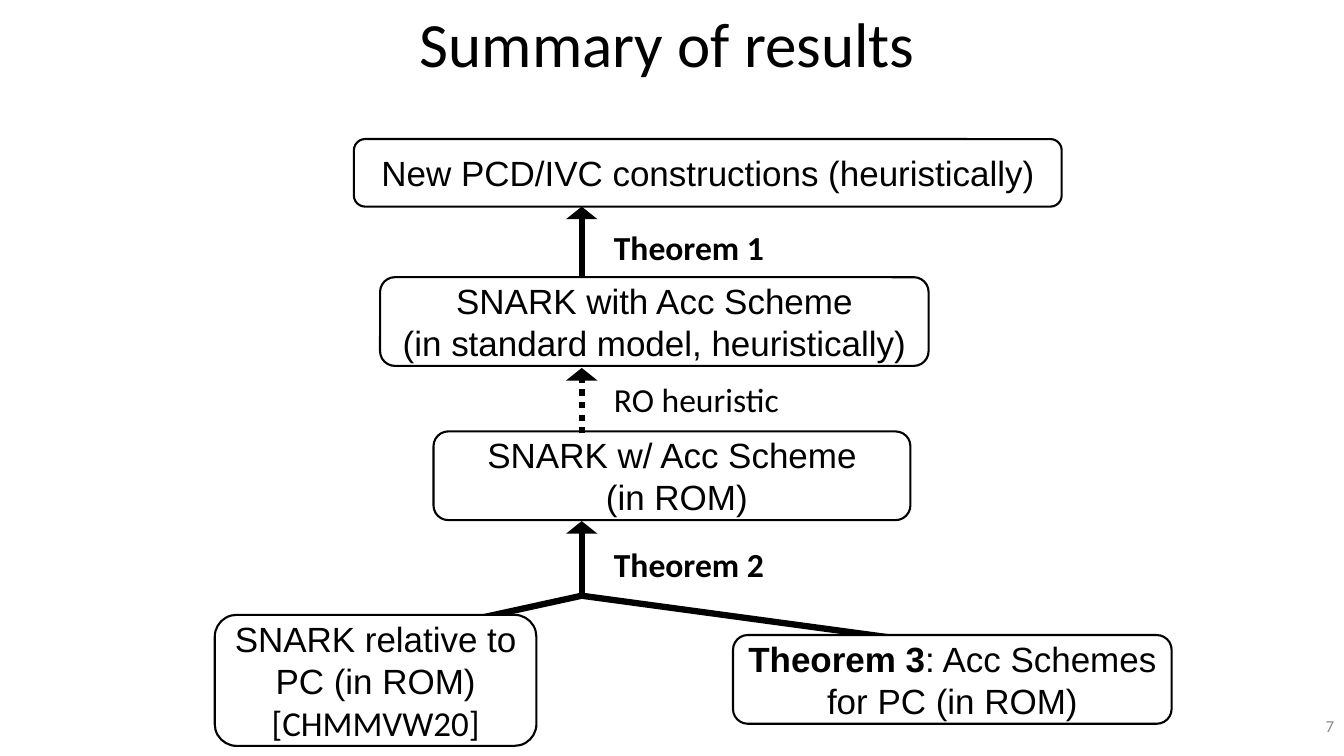
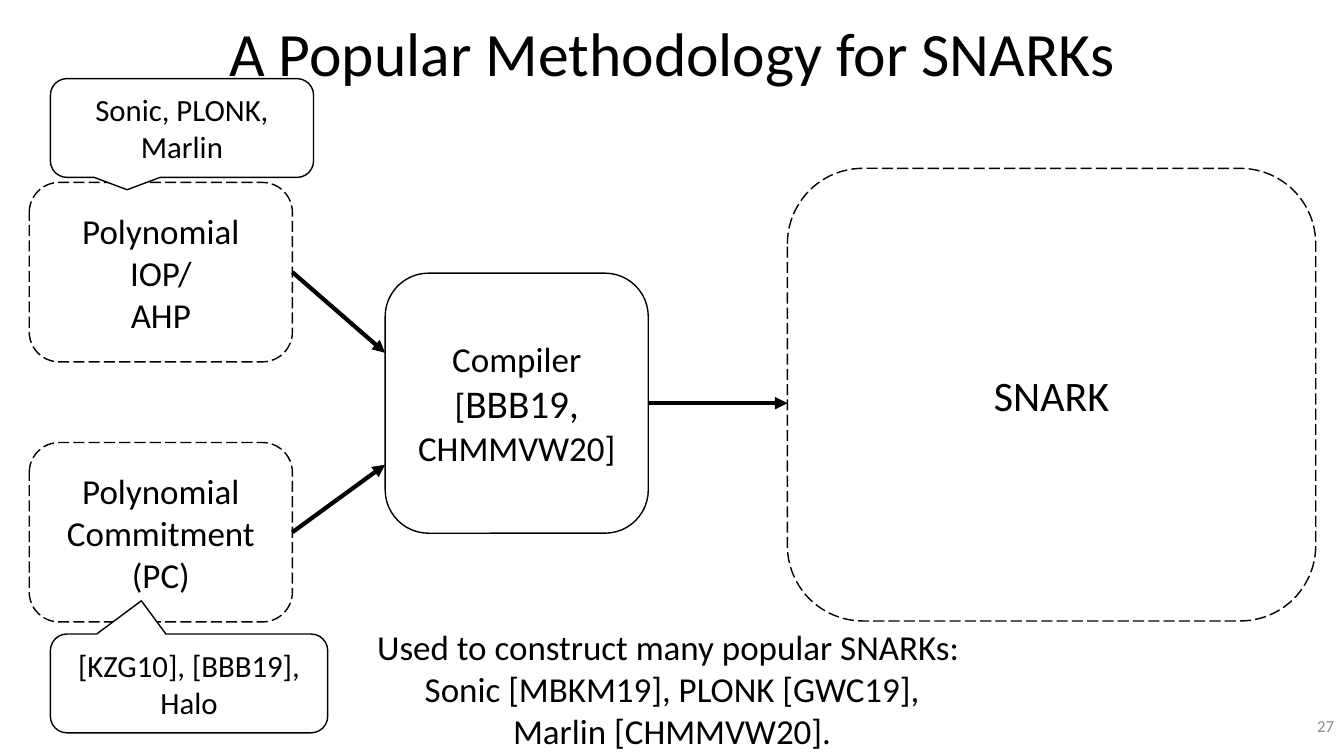
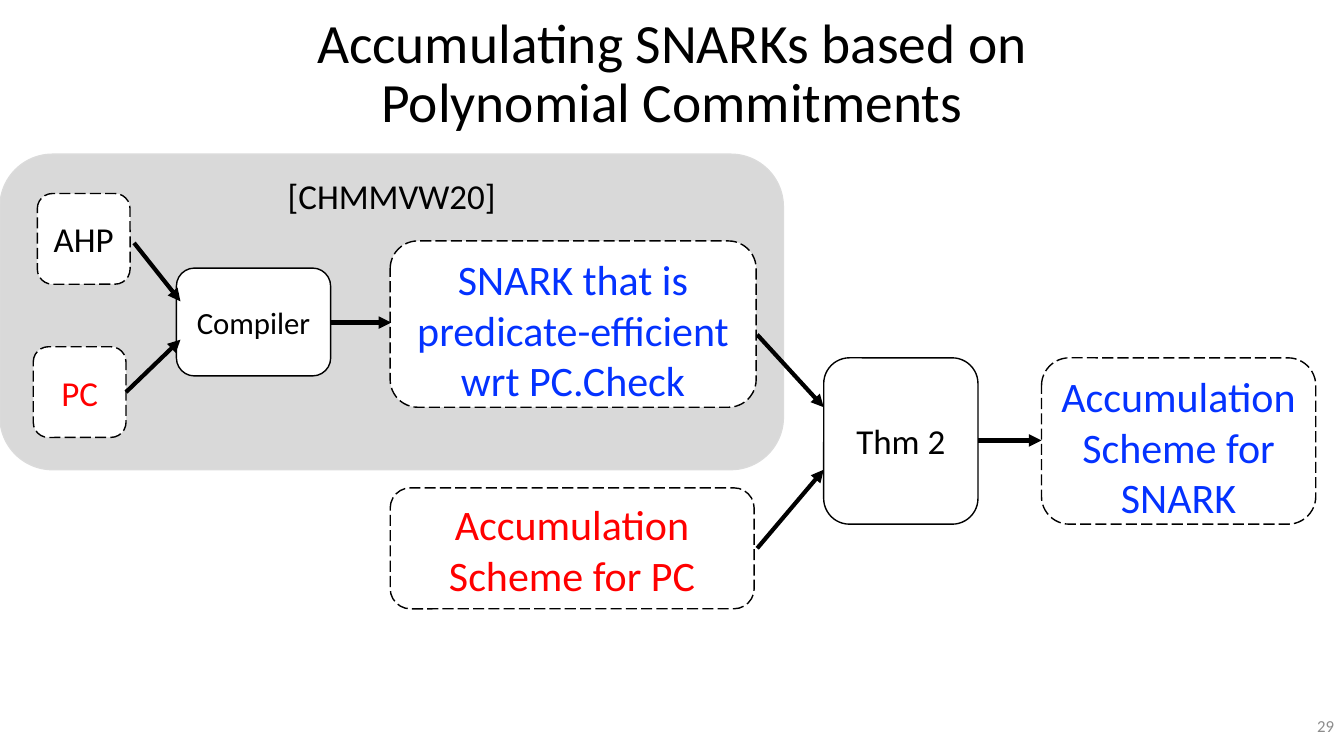
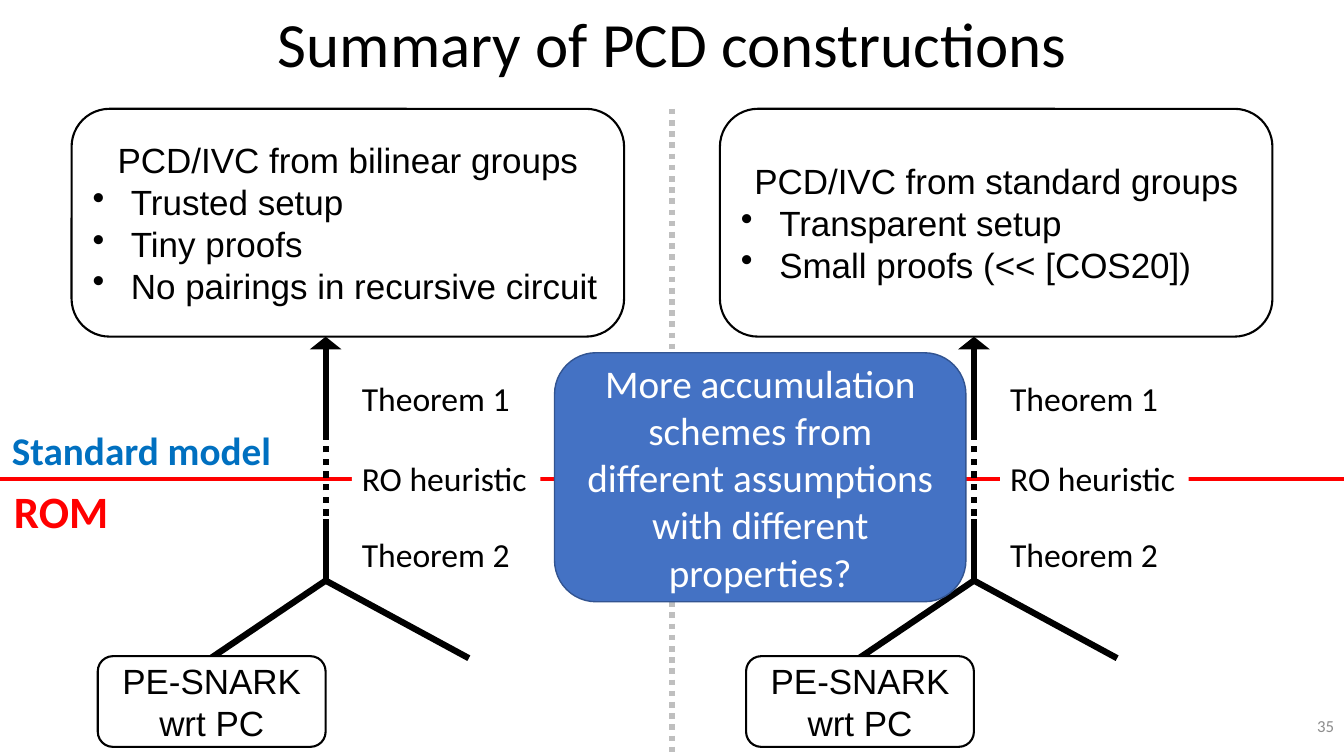
from lxml.etree import SubElement
from pptx import Presentation
from pptx.dml.color import RGBColor
from pptx.enum.dml import MSO_LINE as Dash
from pptx.enum.shapes import MSO_CONNECTOR as Connector, MSO_SHAPE as Shape
from pptx.enum.text import MSO_ANCHOR as Anchor, PP_ALIGN as Align
from pptx.oxml.ns import qn
from pptx.util import Inches, Pt

BLACK, WHITE, RED, BLUE = "000000", "FFFFFF", "FF0000", "0432FF"
PANEL, PANEL_EDGE, DIVIDER, NUMBER = "D9D9D9", "DBDBDB", "BFBFBF", "8C8C8C"
CALLOUT, CALLOUT_EDGE, STANDARD = "4472C4", "325491", "0070C0"
BODY, DIAGRAM = "Calibri", "Arial"
SLIDE_W, SLIDE_H = 13.33, 7.5


def rgb(value):
    """Turn a hex string into a colour."""
    return RGBColor.from_string(value)


def write(frame, paragraphs, size, color=BLACK, font=BODY, bold=False,
          align=Align.CENTER, anchor=Anchor.MIDDLE, spacing=None):
    """Fill a text frame; a paragraph is a string or (text, font overrides) runs."""
    frame.word_wrap = True
    frame.vertical_anchor = anchor
    for index, content in enumerate(paragraphs):
        paragraph = frame.add_paragraph() if index else frame.paragraphs[0]
        paragraph.alignment = align
        if spacing:
            paragraph.line_spacing = spacing
        style = paragraph.font
        style.size, style.name, style.bold = Pt(size), font, bold
        style.color.rgb = rgb(color)
        runs = [(content, {})] if isinstance(content, str) else content
        for text, overrides in runs:
            run = paragraph.add_run()
            run.text = text
            for key, value in overrides.items():
                setattr(run.font, key, value)


def bullet(paragraph):
    """Give a paragraph a hanging round bullet."""
    paragraph.alignment = Align.LEFT
    properties = paragraph.font and paragraph._p.get_or_add_pPr()
    properties.set("marL", str(Inches(0.38)))
    properties.set("indent", str(-Inches(0.38)))
    mark = SubElement(properties, qn("a:buChar"))
    mark.set("char", "•")
    properties.find(qn("a:defRPr")).addprevious(mark)


def box(slide, at, paragraphs, size, fill=WHITE, edge=BLACK, weight=1,
        dashed=False, kind=Shape.ROUNDED_RECTANGLE, **style):
    """Draw an outlined shape with text."""
    shape = slide.shapes.add_shape(kind, *map(Inches, at))
    shape.shadow.inherit = False
    shape.fill.solid()
    shape.fill.fore_color.rgb = rgb(fill)
    shape.line.color.rgb = rgb(edge)
    shape.line.width = Pt(weight)
    if dashed:
        shape.line.dash_style = Dash.LONG_DASH
    write(shape.text_frame, paragraphs, size, **style)
    return shape


def result_box(slide, at, paragraphs):
    """Draw a box of a theorem diagram."""
    return box(slide, at, paragraphs, 25, weight=1.5, font=DIAGRAM)


def label(slide, at, text, size=24, fill=None, align=Align.LEFT,
          anchor=Anchor.TOP, **style):
    """Place a text box."""
    area = slide.shapes.add_textbox(*map(Inches, at))
    if fill:
        area.fill.solid()
        area.fill.fore_color.rgb = rgb(fill)
    lines = [text] if isinstance(text, str) else text
    write(area.text_frame, lines, size, align=align, anchor=anchor, **style)


def line(slide, start, end, weight=4.5, color=BLACK, dotted=False, head=None):
    """Draw a line; head is the (width, length) of an arrowhead at its end."""
    connector = slide.shapes.add_connector(
        Connector.STRAIGHT, *map(Inches, (*start, *end)))
    connector.line.color.rgb = rgb(color)
    connector.line.width = Pt(weight)
    if dotted:
        connector.line.dash_style = Dash.ROUND_DOT
    properties = connector._element.spPr
    if head:
        tip = SubElement(properties.find(qn("a:ln")), qn("a:tailEnd"))
        for key, value in zip(("type", "w", "len"), ("triangle", *head)):
            tip.set(key, value)
    SubElement(properties, qn("a:effectLst"))


def implies(slide, x, bottom, top, dotted=False):
    """Draw an upward arrow of a theorem diagram."""
    line(slide, (x, bottom), (x, top), dotted=dotted, head=("lg", "sm"))


def flow(slide, start, end):
    """Draw an arrow of a pipeline."""
    line(slide, start, end, weight=3, head=("med", "med"))


def new_slide(deck, number, title, at, size, **style):
    """Add a slide with its title and number."""
    slide = deck.slides.add_slide(deck.slide_layouts[6])
    label(slide, at, title, size, align=Align.CENTER, **style)
    label(slide, (SLIDE_W - 3, 7, 3, 0.4), str(number), 12, color=NUMBER,
          align=Align.RIGHT, anchor=Anchor.MIDDLE)
    return slide


def theorem_chain(slide, x, top):
    """Draw the results, stacked along a spine at x."""
    fork = (x, top + 4.53)
    for foot in (x - 1.92, x + 3.1):
        line(slide, (foot, top + 4.95), fork)
    results = [
        ((-2.26, 0, 7.02, 0.67), ["New PCD/IVC constructions (heuristically)"]),
        ((-2, 1.37, 5.44, 0.88),
         ["SNARK with Acc Scheme", "(in standard model, heuristically)"]),
        ((-1.47, 2.9, 4.73, 0.88), ["SNARK w/ Acc Scheme", " (in ROM)"]),
        ((-3.64, 4.72, 3.19, 1.3),
         [[("SNARK relative to PC (in ROM) ", {}), ("[CHMMVW20]", {"name": BODY})]]),
        ((1.5, 4.92, 4.35, 0.88),
         [[("Theorem 3", {"bold": True}), (": Acc Schemes for PC (in ROM)", {})]]),
    ]
    for (dx, dy, width, height), text in results:
        result_box(slide, (x + dx, top + dy, width, height), text)
    steps = [("Theorem 1", 1.37, 0.67, 0.82, True),
             ("RO heuristic", 2.92, 2.27, 2.33, False),
             ("Theorem 2", 4.53, 3.79, 3.97, True)]
    for text, start, end, text_top, proven in steps:
        implies(slide, x, top + start, top + end, dotted=not proven)
        label(slide, (x + 0.22, top + text_top, 2.04, 0.5), text, bold=proven)


def compiler_pipeline(slide, left, top):
    """Draw two ingredients, their compiler and the resulting SNARK."""
    width, height, step = 2.61, 1.78, 2.58
    compiler = left + 3.53
    middle = top + 2.19
    ingredients = [(["Polynomial IOP/", "AHP"], -0.5),
                   (["Polynomial Commitment", "(PC)"], 0.61)]
    for row, (text, entry) in enumerate(ingredients):
        y = top + row * step
        box(slide, (left, y, width, height), text, 25, dashed=True)
        flow(slide, (left + width, y + height / 2), (compiler, middle + entry))
    box(slide, (compiler, top + 0.9, width, step),
        [[("Compiler [", {}), ("BBB19, ", {"size": Pt(28)}), ("CHMMVW20]", {})]], 25)
    box(slide, (left + 7.52, top - 0.14, 5.24, 4.49), ["SNARK"], 30, dashed=True)
    flow(slide, (compiler + width, middle), (left + 7.52, middle))


def example_callouts(slide, left):
    """Add the speech bubbles with known schemes."""
    bubble = Shape.ROUNDED_RECTANGULAR_CALLOUT
    box(slide, (left, 0.78, 2.61, 0.98), ["Sonic, PLONK, Marlin"], 22, kind=bubble)
    commitments = box(slide, (left, 6.29, 2.75, 0.98),
                      ["[KZG10], [BBB19], Halo"], 22, kind=bubble)
    commitments.adjustments[0] = -0.172
    commitments.adjustments[1] = -0.837


def snark_panel(slide, left, top):
    """Draw the grey panel that compiles a predicate-efficient SNARK."""
    box(slide, (left, top, 7.77, 3.13), ["[CHMMVW20]"], 25, fill=PANEL,
        edge=PANEL_EDGE, anchor=Anchor.TOP)
    box(slide, (left + 1.75, top + 1.13, 1.53, 1.07), ["Compiler"], 22)
    for text, dx, dy, color in (("AHP", 0.37, 0.39, BLACK), ("PC", 0.33, 1.91, RED)):
        box(slide, (left + dx, top + dy, 0.92, 0.9), [text], 25, dashed=True, color=color)
    scheme_box(slide, (left + 3.87, top + 0.86, 3.63, 1.65),
               "SNARK that is predicate-efficient wrt PC.Check", BLUE)
    flow(slide, (left + 1.33, top + 0.88), (left + 1.79, top + 1.46))
    flow(slide, (left + 1.25, top + 2.36), (left + 1.79, top + 1.84))
    flow(slide, (left + 3.28, top + 1.67), (left + 3.88, top + 1.67))


def scheme_box(slide, at, text, color):
    """Draw a dashed box with large coloured text."""
    box(slide, at, [text], 30, dashed=True, color=color, anchor=Anchor.TOP)


def accumulation_step(slide, left, top):
    """Draw Theorem 2 with its inputs and its result."""
    scheme_box(slide, (left - 4.3, top + 1.29, 3.61, 1.2),
               "Accumulation Scheme for PC", RED)
    box(slide, (left, top, 1.53, 1.65), ["Thm 2"], 25)
    scheme_box(slide, (left + 2.16, top, 2.72, 1.65),
               "Accumulation Scheme for SNARK", BLUE)
    flow(slide, (left - 0.66, top - 0.23), (left, top + 0.49))
    flow(slide, (left - 0.66, top + 1.89), (left, top + 1.11))
    flow(slide, (left + 1.53, top + 0.82), (left + 2.16, top + 0.82))


def construction_column(slide, left, top, heading, features):
    """Draw one PCD construction above its chain of theorems."""
    spine = left + 2.52
    fork = top + 4.68
    implies(slide, spine, top + 3.26, top + 2.26)
    line(slide, (spine, top + 4.16), (spine, top + 3.26), dotted=True)
    line(slide, (spine, fork + 0.03), (spine, top + 4.07))
    for dx in (-1.14, 1.42):
        line(slide, (spine + dx, top + 5.45), (spine, fork))
    for text, dy, fill in (("Theorem 1", 2.62, None), ("RO heuristic", 3.41, WHITE),
                           ("Theorem 2", 4.17, None)):
        label(slide, (spine + 0.26, top + dy, 1.87, 0.5), text, fill=fill)
    card = result_box(slide, (left, top, 5.48, 2.26), [heading, *features])
    for paragraph in card.text_frame.paragraphs[1:]:
        bullet(paragraph)
    result_box(slide, (left + 0.26, top + 5.43, 2.26, 0.9), ["PE-SNARK wrt PC"])


def model_boundary(slide, y):
    """Draw the line between the standard model and the ROM."""
    line(slide, (0, y), (SLIDE_W, y), weight=3, color=RED)
    label(slide, (0.04, y, 1.3, 0.64), "ROM", 32, color=RED, bold=True)
    label(slide, (0.02, y - 0.57, 3.08, 0.57), "Standard model", 28,
          color=STANDARD, bold=True)


def results_slide(deck):
    """Build the summary of results."""
    slide = new_slide(deck, 7, "Summary of results", (3.32, 0, 6.6, 0.86), 45)
    theorem_chain(slide, 5.77, 1.38)


def methodology_slide(deck):
    """Build the SNARK methodology."""
    slide = new_slide(deck, 27, "A Popular Methodology for SNARKs",
                      (0.92, 0.03, 11.5, 1.07), 44, anchor=Anchor.MIDDLE, spacing=0.9)
    compiler_pipeline(slide, 0.29, 1.81)
    label(slide, (3.64, 6.16, 6.05, 1.36),
          ["Used to construct many popular SNARKs: ",
           "Sonic [MBKM19], PLONK [GWC19], Marlin [CHMMVW20]."],
          25, align=Align.CENTER)
    example_callouts(slide, 0.5)


def accumulation_slide(deck):
    """Build the accumulation of SNARKs."""
    slide = new_slide(deck, 29, "Accumulating SNARKs based on Polynomial Commitments",
                      (3.04, 0.21, 7.25, 1.07), 39.6, anchor=Anchor.MIDDLE, spacing=0.9)
    snark_panel(slide, 0, 1.53)
    accumulation_step(slide, 8.17, 3.55)


def constructions_slide(deck):
    """Build the summary of PCD constructions."""
    slide = new_slide(deck, 35, "Summary of PCD constructions", (2.45, 0, 8.44, 0.86), 45)
    top = 1.08
    model_boundary(slide, 4.75)
    construction_column(slide, 0.71, top, "PCD/IVC from bilinear groups",
                        ["Trusted setup", "Tiny proofs", "No pairings in recursive circuit"])
    construction_column(slide, 7.14, top, "PCD/IVC from standard groups",
                        ["Transparent setup", "Small proofs (<< [COS20])"])
    line(slide, (SLIDE_W / 2, top), (SLIDE_W / 2, SLIDE_H), weight=4,
         color=DIVIDER, dotted=True)
    box(slide, (5.5, 3.5, 4.08, 2.47),
        ["More accumulation schemes from different assumptions with different properties?"],
        28, fill=CALLOUT, edge=CALLOUT_EDGE, color=WHITE)


def main():
    """Build and save the presentation."""
    deck = Presentation()
    deck.slide_width, deck.slide_height = Inches(SLIDE_W), Inches(SLIDE_H)
    for build in (results_slide, methodology_slide, accumulation_slide, constructions_slide):
        build(deck)
    deck.save("out.pptx")


if __name__ == "__main__":
    main()
